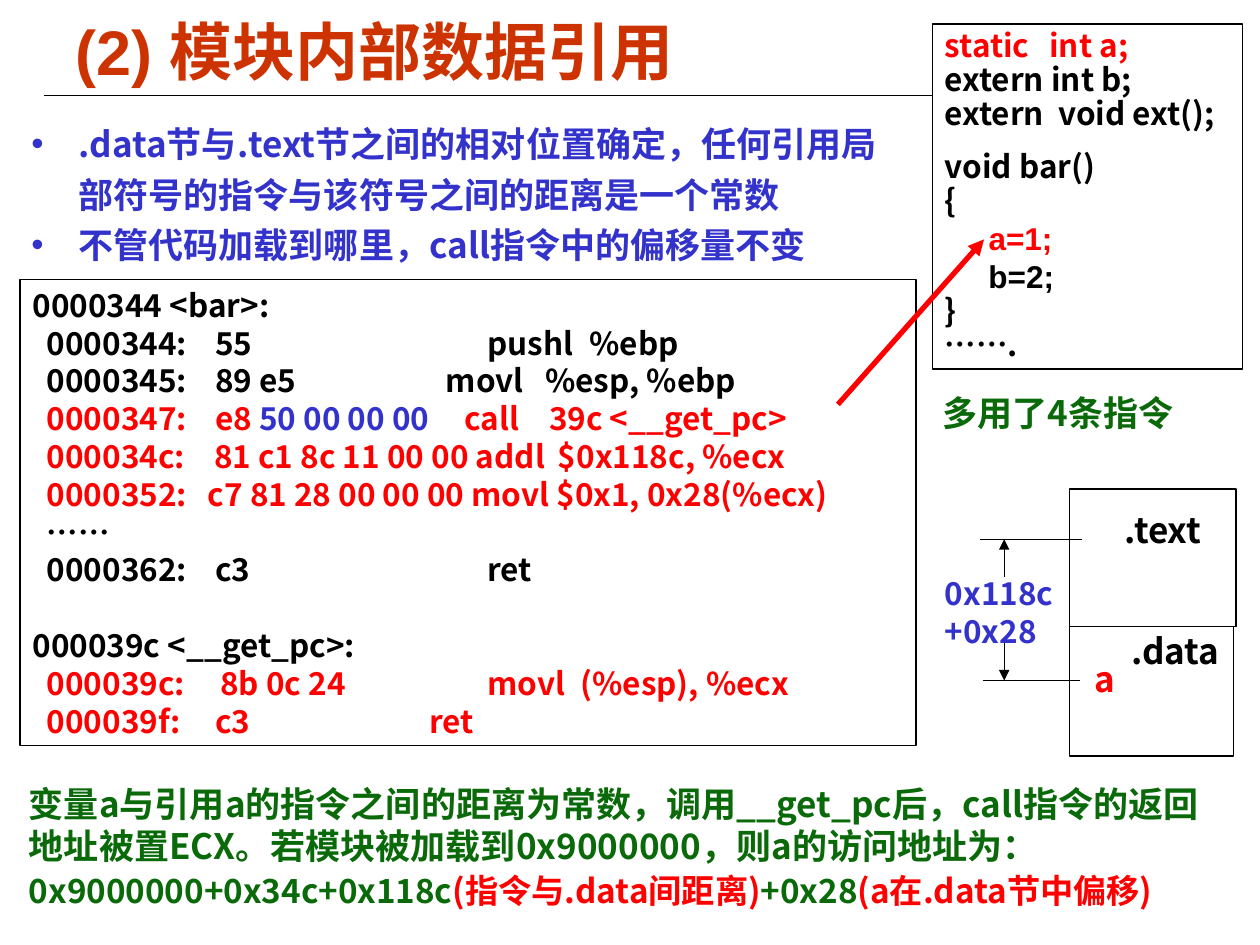
import lxml.etree
import pptx
import pptx.dml.color
import pptx.enum.shapes
import pptx.enum.text
import pptx.oxml.ns
import pptx.util

RGB = pptx.dml.color.RGBColor
BLACK = RGB(0, 0, 0)
WHITE = RGB(255, 255, 255)
RED = RGB(255, 0, 0)
BLUE = RGB(0x33, 0x33, 0xCC)
GREEN = RGB(0x0A, 0x6A, 0x0A)
ORANGE = RGB(0xCC, 0x33, 0x00)
SANS = "Noto Sans CJK SC"
LATIN = "Arial"

COLUMNS, ROWS = 100, 75
deck = pptx.Presentation()
deck.slide_width = pptx.util.Inches(10)
deck.slide_height = pptx.util.Inches(7.5)
COLUMN = deck.slide_width / COLUMNS
ROW = deck.slide_height / ROWS


def emu(column, row):
    return round(column * COLUMN), round(row * ROW)


def place(box):
    return emu(*box[:2]) + emu(*box[2:])


def inside(box, column, row, columns, rows):
    return box[0] + column, box[1] + row, columns, rows


def apply(target, values):
    for name, value in values.items():
        setattr(target, name, value)


def add_element(parent, tag, **attributes):
    element = lxml.etree.SubElement(parent, pptx.oxml.ns.qn(tag))
    for name, value in attributes.items():
        element.set(name, str(value))
    return element


def write(holder, paragraphs, size=18, inset=1, anchor="TOP"):
    frame = holder.text_frame
    side, edge = emu(inset, 0.5)
    apply(frame, {
        "word_wrap": True,
        "vertical_anchor": getattr(pptx.enum.text.MSO_ANCHOR, anchor),
        "margin_left": side, "margin_right": side,
        "margin_top": edge, "margin_bottom": edge,
    })
    for index, (runs, layout) in enumerate(paragraphs):
        paragraph = frame.add_paragraph() if index else frame.paragraphs[0]
        properties = paragraph._p.get_or_add_pPr()
        if "bullet" in layout:
            indent = emu(3.75, 0)[0]
            properties.set("marL", str(indent))
            properties.set("indent", str(-indent))
            color = add_element(properties, "a:buClr")
            add_element(color, "a:srgbClr", val=layout["bullet"])
            add_element(properties, "a:buFont", typeface=LATIN)
            add_element(properties, "a:buChar", char="•")
        if "stops" in layout:
            stops = add_element(properties, "a:tabLst")
            for stop in layout["stops"]:
                add_element(stops, "a:tab", pos=emu(stop, 0)[0], algn="l")
        apply(paragraph, {"alignment": pptx.enum.text.PP_ALIGN.LEFT,
                          "line_spacing": layout.get("spacing", 1.0),
                          "space_before": pptx.util.Pt(layout.get("before", 0))})
        for text, color in runs:
            run = paragraph.add_run()
            run.text = text
            apply(run.font, {"size": pptx.util.Pt(layout.get("size", size)),
                             "bold": True, "name": layout.get("font", SANS)})
            run.font.color.rgb = color
            add_element(run._r.get_or_add_rPr(), "a:ea", typeface=SANS)


def add_text(shapes, box, paragraphs, **options):
    write(shapes.add_textbox(*place(box)), paragraphs, **options)


def add_label(shapes, box, text, color, size=20):
    add_text(shapes, box, [([(line, color)], {}) for line in text.split("\n")], size=size)


def add_panel(shapes, box, filled=True):
    panel = shapes.add_shape(pptx.enum.shapes.MSO_SHAPE.RECTANGLE, *place(box))
    panel.shadow.inherit = False
    if filled:
        panel.fill.solid()
        panel.fill.fore_color.rgb = WHITE
    else:
        panel.fill.background()
    panel.line.color.rgb = BLACK
    panel.line.width = pptx.util.Pt(0.75)
    return panel


def add_line(shapes, start, end, color=BLACK, width=0.75, arrow=False):
    line = shapes.add_connector(pptx.enum.shapes.MSO_CONNECTOR.STRAIGHT,
                                *emu(*start), *emu(*end))
    line.line.color.rgb = color
    line.line.width = pptx.util.Pt(width)
    if arrow:
        add_element(line.line._get_or_add_ln(), "a:tailEnd", type="triangle")
    add_element(line._element.spPr, "a:effectLst")


def build_heading(shapes, box):
    left, top, columns, rows = box
    rule = top + rows + 0.6
    add_line(shapes, (left - 1.5, rule), (left + columns + 1.5, rule))
    add_text(shapes, box, [([("(2) 模块内部数据引用", ORANGE)], {"font": LATIN})],
             size=36, anchor="MIDDLE")


def build_points(shapes, box):
    points = [".data节与.text节之间的相对位置确定，任何引用局部符号的指令与该符号之间的距离是一个常数",
              "不管代码加载到哪里，call指令中的偏移量不变"]
    add_text(shapes, box, [([(point, BLUE)], {"bullet": BLUE, "spacing": 1.2})
                           for point in points], size=20)


def build_source(shapes, box):
    tight = {"spacing": 0.9}
    arial = {"font": LATIN}
    write(add_panel(shapes, box), [
        ([("static\tint a;", RED)], {**tight, "stops": [8.3]}),
        ([("extern int b;", BLACK)], tight),
        ([("extern\tvoid ext();", BLACK)], {**tight, "stops": [9.0]}),
        ([("void bar()", BLACK)], {**tight, "before": 10.9}),
        ([("{", BLACK)], tight),
        ([("     ", BLACK), ("a=1;", RED)], arial),
        ([("     b=2;", BLACK)], arial),
        ([("}", BLACK)], tight),
        ([("…….", BLACK)], tight),
    ])


def build_disassembly(shapes, box):
    listing = [
        ([("0000344 <bar>:", BLACK)], {}),
        ([("  0000344:\t55\tpushl\t%ebp", BLACK)], {"stops": [14.5, 36.1, 44.2]}),
        ([("  0000345:\t89 e5\tmovl\t%esp, %ebp", BLACK)], {"stops": [14.5, 32.8, 40.7]}),
        ([("  0000347:\te8 ", RED), ("50 00 00 00", BLUE),
          ("\tcall\t39c <__get_pc>", RED)], {"stops": [14.5, 34.3, 41.0]}),
        ([("  000034c:\t81 c1 8c 11 00 00 addl\t$0x118c, %ecx", RED)],
         {"stops": [14.4, 41.7]}),
        ([("  0000352:\tc7 81 28 00 00 00 movl $0x1, 0x28(%ecx)", RED)], {"stops": [13.9]}),
        ([("  ……", BLACK)], {}),
        ([("  0000362:\tc3\tret", BLACK)], {"stops": [14.5, 36.1]}),
        ([("000039c <__get_pc>:", BLACK)], {"before": 21.7}),
        ([("  000039c:\t8b 0c 24\tmovl\t(%esp), %ecx", RED)], {"stops": [14.9, 36.1, 43.5]}),
        ([("  000039f:\tc3\tret", RED)], {"stops": [14.5, 31.5]}),
    ]
    write(add_panel(shapes, box, filled=False), listing)


def build_conclusion(shapes, box):
    add_text(shapes, box, [
        ([("变量a与引用a的指令之间的距离为常数，调用__get_pc后，call指令的返回地址被置ECX。"
           "若模块被加载到0x9000000，则a的访问地址为：", GREEN)], {}),
        ([("0x9000000+0x34c+0x118c", GREEN), ("(指令与.data间距离)", RED),
          ("+0x28", GREEN), ("(a在.data节中偏移)", RED)], {"size": 19, "before": 2.4}),
    ], size=20, inset=0)


def build_memory(shapes, box):
    parts = shapes.add_group_shape().shapes
    left, top = box[:2]
    add_panel(parts, inside(box, 10.9, 0, 13.2, 10.9))
    add_label(parts, inside(box, 14.3, 1.1, 9.1, 4.4), ".text", BLACK)
    add_panel(parts, inside(box, 10.9, 10.9, 13.0, 10.3))
    add_label(parts, inside(box, 14.8, 10.7, 9.1, 7.7), ".data", BLACK)
    add_label(parts, inside(box, 11.9, 12.9, 5.9, 4.4), "a", RED)
    axis = left + 5.7
    for start, end, level, tail in [(3.8, 11.9, 4.0, 7.0), (4.0, 11.7, 15.2, 11.8)]:
        add_line(parts, (left + start, top + level), (left + end, top + level))
        add_line(parts, (axis, top + tail), (axis, top + level), arrow=True)
    add_label(parts, inside(box, 0, 6.3, 12.1, 7.0), "0x118c\n+0x28", BLUE, size=18)


def main():
    shapes = deck.slides.add_slide(deck.slide_layouts[6]).shapes
    build_heading(shapes, (5, 0.9, 90, 6.1))
    build_points(shapes, (1.5, 8.6, 70.9, 12.1))
    build_source(shapes, (74, 1.9, 24.6, 27.4))
    build_disassembly(shapes, (1.6, 22.2, 71.1, 37))
    build_conclusion(shapes, (2.3, 61.6, 95.1, 11.2))
    build_memory(shapes, (74, 38.8, 24.1, 21.2))
    add_line(shapes, (66.5, 32.1), (78.1, 19), RED, 3, arrow=True)
    add_label(shapes, (73.8, 30.6, 20.9, 7.7), "多用了4条指令", GREEN)
    deck.save("out.pptx")


if __name__ == "__main__":
    main()
